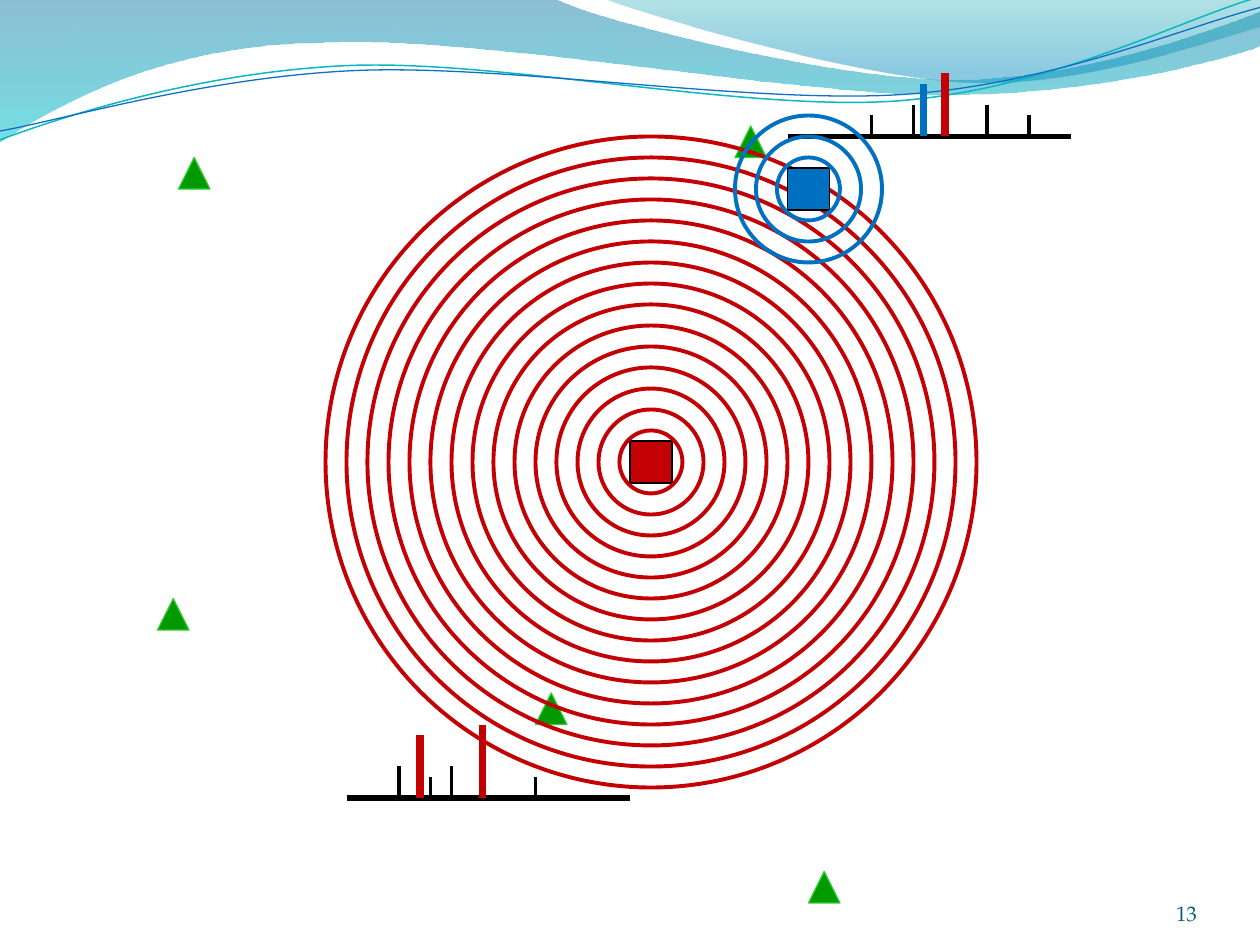
"""Build a slide of two wave sources with their spectra and receivers."""
from math import cos, radians, sin

from lxml.etree import SubElement
from pptx import Presentation
from pptx.dml.color import RGBColor
from pptx.enum.shapes import MSO_CONNECTOR as Connector, MSO_SHAPE as Shape
from pptx.enum.text import MSO_ANCHOR as Anchor, PP_ALIGN as Align
from pptx.oxml.ns import qn
from pptx.util import Inches, Pt

FONT = "TeX Gyre Pagella"
BLACK = RGBColor(0x00, 0x00, 0x00)
RED = RGBColor(0xC3, 0x00, 0x04)
DARK_RED = RGBColor(0xC0, 0x00, 0x00)
BLUE = RGBColor(0x00, 0x70, 0xC0)
GREEN = RGBColor(0x00, 0x99, 0x00)
LIGHT_GREEN = RGBColor(0x33, 0xCC, 0x33)
NUMBER_COLOR = RGBColor(0x04, 0x5D, 0x75)
TEAL_LINE = RGBColor(0x0A, 0xB8, 0xBF)
BLUE_LINE = RGBColor(0x0F, 0x6F, 0xC6)
WAVE_TOP = RGBColor(0x00, 0x74, 0xA1)
WAVE_BOTTOM = RGBColor(0x00, 0xC6, 0xCF)
CREST_TOP = RGBColor(0x00, 0xA1, 0xA9)
CREST_BOTTOM = RGBColor(0x00, 0x8B, 0xBF)

GRID_PER_INCH = 12
CURVE_TILT = 2.7
RECEIVERS = [(17, 15), (70, 12), (15, 57), (77, 83), (51, 66)]
RED_CENTER = (62, 44)
BLUE_CENTER = (77, 18)
LOWER_PEAKS = [
    (38, 3, BLACK, 2.25), (41, 2, BLACK, 2.25), (40, 6, RED, 4.5),
    (51, 2, BLACK, 2.25), (46, 7, DARK_RED, 4), (43, 3, BLACK, 2.25),
]
UPPER_PEAKS = [
    (94, 3, BLACK, 2.25), (83, 2, BLACK, 2.25), (90, 6, RED, 4.5),
    (98, 2, BLACK, 2.25), (88, 5, BLUE, 4), (87, 3, BLACK, 2.25),
]

WAVE = [
    [(0, -0.01)], [(4.4, -0.01)],
    [(4.76, 0.17), (6.64, 0.63), (7.58, 0.63)],
    [(8.53, 0.63), (9.58, 0.26), (10, 0.09)], [(10.01, 0.36)],
    [(9.83, 0.44), (8.7, 0.76), (7.46, 0.75)],
    [(6.22, 0.75), (3.82, 0.28), (2.57, 0.34)],
    [(1.29, 0.35), (0.46, 0.83), (-0.01, 1.13)],
]
CREST = [
    [(4.79, -0.01)],
    [(5.09, 0.11), (6.82, 0.62), (7.69, 0.65)],
    [(8.56, 0.69), (9.61, 0.32), (10, 0.21)], [(10, 0)],
]
TEAL_CURVE = [
    [(0, 1.11)],
    [(0.48, 0.93), (1.58, 0.57), (2.77, 0.52)],
    [(3.95, 0.47), (5.93, 0.89), (7.13, 0.8)],
    [(8.33, 0.71), (9.38, 0.15), (9.98, -0.02)],
]
BLUE_CURVE = [
    [(0, 1.04)],
    [(0.47, 0.96), (1.64, 0.61), (2.83, 0.56)],
    [(4.03, 0.51), (5.97, 0.83), (7.17, 0.75)],
    [(8.36, 0.67), (9.41, 0.21), (10, 0.06)],
]


def grid(units):
    """Return the length of a number of grid units."""
    return Inches(units / GRID_PER_INCH)


def turn(point, center, degrees):
    """Return the point turned clockwise about the center."""
    x, y = point[0] - center[0], point[1] - center[1]
    c, s = cos(radians(degrees)), sin(radians(degrees))
    return center[0] + x * c - y * s, center[1] + x * s + y * c


def add_outline(slide, segments, closed):
    """Add a freeform; segments of three points become Bezier curves."""
    points = [(Inches(x), Inches(y)) for segment in segments for x, y in segment]
    builder = slide.shapes.build_freeform(*points[0])
    builder.add_line_segments(points[1:], close=closed)
    shape = builder.convert_to_shape()
    shape.shadow.inherit = False
    steps = iter(list(shape._element.iter(qn("a:lnTo"))))
    for segment in segments[1:]:
        first, *others = [next(steps) for _ in segment]
        if others:
            first.tag = qn("a:cubicBezTo")
        for step in others:
            first.append(step[0])
            step.getparent().remove(step)
    return shape


def add_band(slide, segments, stops):
    """Add a closed band with a translucent vertical gradient."""
    shape = add_outline(slide, segments, True)
    shape.line.fill.background()
    shape.fill.gradient()
    shape.fill.gradient_angle = 270
    for stop, (position, color, _) in zip(shape.fill.gradient_stops, stops):
        stop.position = position
        stop.color.rgb = color
    colors = shape._element.spPr.iter(qn("a:srgbClr"))
    for element, (_, _, opacity) in zip(colors, stops):
        SubElement(element, qn("a:alpha"), val=str(opacity * 1000))


def add_curve(slide, segments, center, color, width):
    """Add an open curve, drawn level and then tilted about its center."""
    level = [[turn(point, center, CURVE_TILT) for point in segment]
             for segment in segments]
    shape = add_outline(slide, level, False)
    shape.rotation = 360 - CURVE_TILT
    shape.fill.background()
    shape.line.color.rgb = color
    shape.line.width = Pt(width)


def add_figure(slide, kind, left, top, size, fill, line, width=0.75):
    """Add a preset shape of equal width and height, unfilled if fill is None."""
    shape = slide.shapes.add_shape(kind, grid(left), grid(top), grid(size), grid(size))
    shape.shadow.inherit = False
    if fill is None:
        shape.fill.background()
    else:
        shape.fill.solid()
        shape.fill.fore_color.rgb = fill
    shape.line.color.rgb = line
    shape.line.width = Pt(width)


def add_source(slide, center, color):
    """Add a square source around its center."""
    x, y = center
    add_figure(slide, Shape.RECTANGLE, x - 2, y - 2, 4, color, BLACK)


def add_rings(slide, center, color, indexes):
    """Add the numbered rings of a source, evenly spaced."""
    x, y = center
    for index in indexes:
        radius = 3 + 2 * index
        add_figure(slide, Shape.OVAL, x - radius, y - radius, 2 * radius,
                   None, color, 2.25)


def add_line(slide, start, end, color, width):
    """Add a straight line without a shadow."""
    line = slide.shapes.add_connector(
        Connector.STRAIGHT, *(grid(value) for value in (*start, *end)))
    line.line.color.rgb = color
    line.line.width = Pt(width)
    SubElement(line._element.spPr, qn("a:effectLst"))


def add_spectrum(slide, left, baseline, peaks):
    """Add a baseline with vertical peaks standing on it."""
    add_line(slide, (left, baseline), (left + 27, baseline), BLACK, 3)
    for x, height, color, width in peaks:
        add_line(slide, (x, baseline - height), (x, baseline), color, width)


def add_slide_number(slide, number):
    """Add the slide number at the lower right."""
    box = slide.shapes.add_textbox(Inches(8.67), Inches(6.95), Inches(0.83), Inches(0.4))
    frame = box.text_frame
    frame.word_wrap = True
    frame.vertical_anchor = Anchor.BOTTOM
    frame.margin_left = frame.margin_right = frame.margin_top = frame.margin_bottom = 0
    frame.text = number
    paragraph = frame.paragraphs[0]
    paragraph.alignment = Align.RIGHT
    font = paragraph.runs[0].font
    font.name = FONT
    font.size = Pt(12)
    font.color.rgb = NUMBER_COLOR


def main():
    """Build and save the presentation."""
    presentation = Presentation()
    presentation.slide_width, presentation.slide_height = Inches(10), Inches(7.5)
    slide = presentation.slides.add_slide(presentation.slide_layouts[6])
    add_band(slide, WAVE, [(0, WAVE_TOP, 45), (1, WAVE_BOTTOM, 55)])
    add_band(slide, CREST, [(0, CREST_TOP, 30), (0.8, CREST_BOTTOM, 45)])
    add_curve(slide, TEAL_CURVE, (4.99, 0.58), TEAL_LINE, 0.85)
    add_curve(slide, BLUE_CURVE, (5, 0.59), BLUE_LINE, 0.75)
    add_slide_number(slide, "13")
    for left, top in RECEIVERS:
        add_figure(slide, Shape.ISOSCELES_TRIANGLE, left, top, 3, GREEN, LIGHT_GREEN)
    add_source(slide, RED_CENTER, RED)
    add_rings(slide, RED_CENTER, RED, range(12))
    add_spectrum(slide, 33, 76, LOWER_PEAKS)
    add_rings(slide, RED_CENTER, RED, (12, 14))
    add_spectrum(slide, 75, 13, UPPER_PEAKS)
    add_rings(slide, RED_CENTER, RED, (13,))
    add_source(slide, BLUE_CENTER, BLUE)
    add_rings(slide, BLUE_CENTER, BLUE, range(3))
    presentation.save("out.pptx")


if __name__ == "__main__":
    main()
